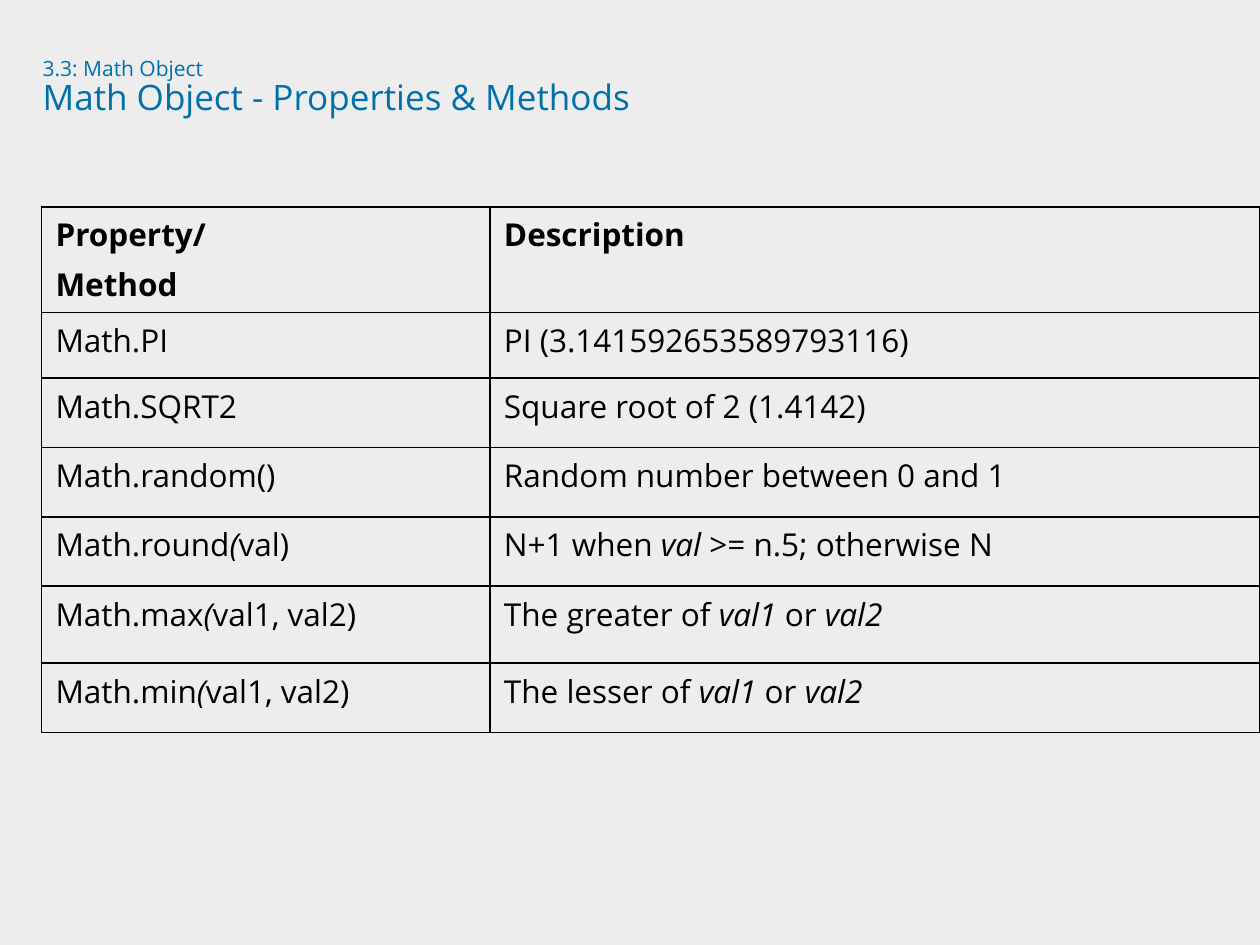
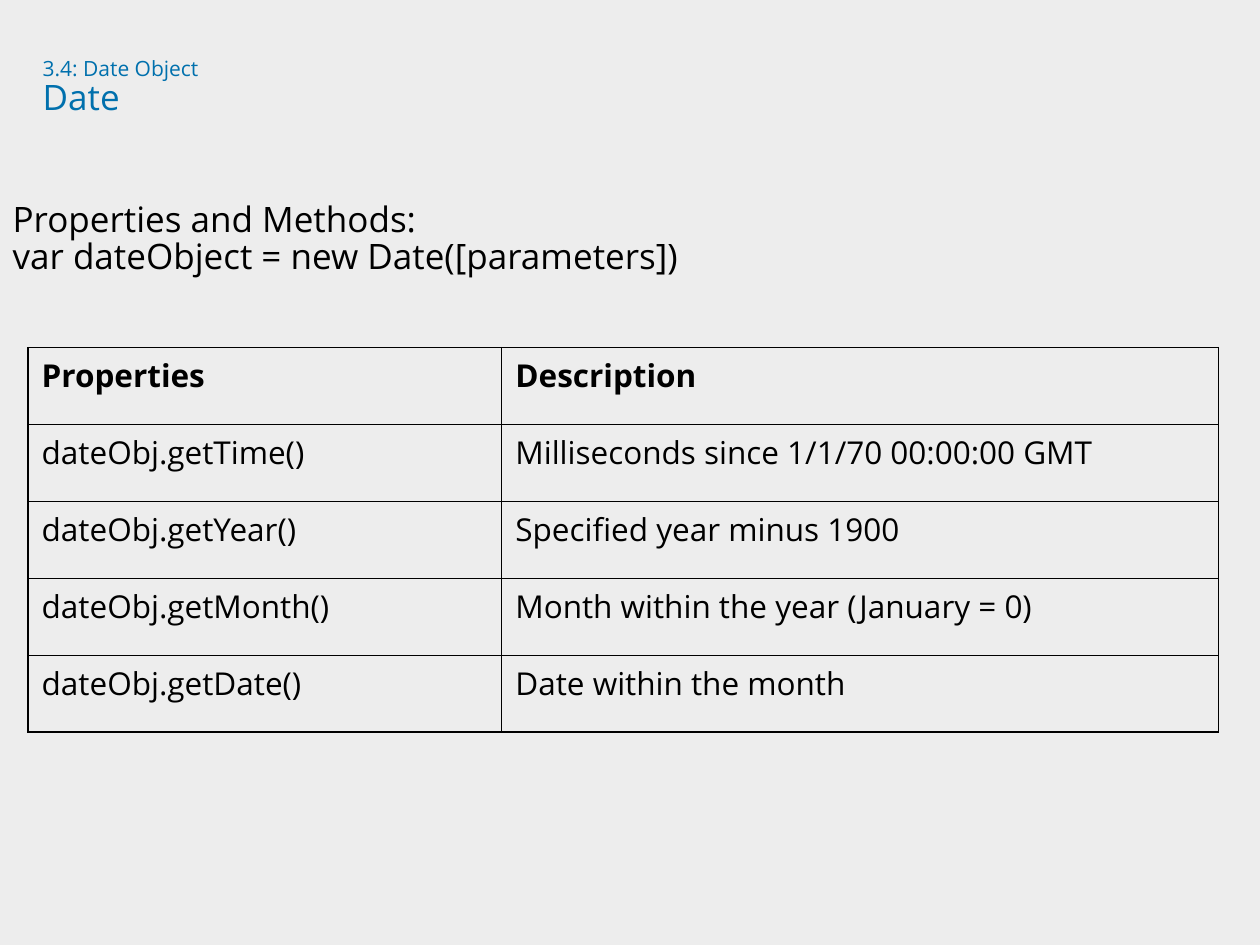
from lxml.etree import SubElement
from pptx import Presentation
from pptx.dml.color import RGBColor
from pptx.enum.text import MSO_ANCHOR, MSO_AUTO_SIZE, PP_ALIGN
from pptx.oxml.ns import qn
from pptx.util import Cm, Pt

FONT = "Open Sans"
BACKGROUND = RGBColor(0xED, 0xED, 0xED)
TITLE_BLUE = RGBColor(0x00, 0x70, 0xAD)
BLACK = RGBColor(0x00, 0x00, 0x00)
TITLE_ONLY, TITLE_AND_BODY = 5, 1
HANGING = Cm(0.96)


def add_span(para, text, size, color, bold=False, italic=False):
    """Append one formatted run to a paragraph."""
    span = para.add_run()
    span.text = text
    span.font.name = FONT
    span.font.size = Pt(size)
    span.font.color.rgb = color
    span.font.bold = bold
    span.font.italic = italic


def fill_cell(cell, text, bold):
    """Write a cell with black borders; *stars* enclose italic words."""
    cell.margin_left = cell.margin_right = Cm(0.28)
    cell.margin_top = cell.margin_bottom = Cm(0.13)
    properties = cell._tc.get_or_add_tcPr()
    for side in ("a:lnL", "a:lnR", "a:lnT", "a:lnB"):
        line = SubElement(properties, qn(side), w=str(Pt(1)))
        fill = SubElement(line, qn("a:solidFill"))
        SubElement(fill, qn("a:srgbClr"), val=str(BLACK))
    cell.fill.background()
    frame = cell.text_frame
    for number, line_text in enumerate(text.split("\n")):
        para = frame.add_paragraph() if number else frame.paragraphs[0]
        para.space_before = Pt(4)
        indents = para._p.get_or_add_pPr()
        indents.set("marL", str(HANGING))
        indents.set("indent", str(-HANGING))
        for position, part in enumerate(line_text.split("*")):
            if part:
                add_span(para, part, 18, BLACK, bold, italic=position % 2 == 1)


pages = [
    {
        "layout": TITLE_ONLY,
        "section": "3.3: Math Object",
        "title": "Math Object - Properties & Methods",
        "intro": [],
        "corner": (Cm(0.84), Cm(4.17)),
        "columns": (9.04, 15.52),
        "heights": (1.4, 1.32, 1.4, 1.4, 1.4, 1.55, 1.4),
        "rows": [
            ("Property/\nMethod", "Description"),
            ("Math.PI", "PI (3.141592653589793116)"),
            ("Math.SQRT2", "Square root of 2 (1.4142)"),
            ("Math.random()", "Random number between 0 and 1"),
            ("Math.round*(*val)", "N+1 when *val *>= n.5; otherwise N"),
            ("Math.max*(*val1, val2)", "The greater of *val1 *or *val2*"),
            ("Math.min*(*val1, val2)", "The lesser of *val1 *or *val2*"),
        ],
    },
    {
        "layout": TITLE_AND_BODY,
        "section": "3.4: Date Object",
        "title": "Date",
        "intro": ["Properties and Methods:", "var dateObject = new Date([parameters])"],
        "corner": (Cm(0.56), Cm(7.01)),
        "columns": (9.55, 14.45),
        "heights": (1.55,) * 5,
        "rows": [
            ("Properties", "Description"),
            ("dateObj.getTime()", "Milliseconds since 1/1/70 00:00:00 GMT"),
            ("dateObj.getYear()", "Specified year minus 1900"),
            ("dateObj.getMonth()", "Month within the year (January = 0)"),
            ("dateObj.getDate()", "Date within the month"),
        ],
    },
]

deck = Presentation()
deck.slide_width, deck.slide_height = Cm(25.4), Cm(19.05)
master_fill = deck.slide_master.background.fill
master_fill.solid()
master_fill.fore_color.rgb = BACKGROUND

for content in pages:
    page = deck.slides.add_slide(deck.slide_layouts[content["layout"]])

    # Title: small section line above the slide's own title
    title = page.shapes.title
    title.left, title.top, title.width, title.height = Cm(0.86), Cm(1.17), Cm(23.09), Cm(2.39)
    frame = title.text_frame
    frame.auto_size = MSO_AUTO_SIZE.NONE
    frame.vertical_anchor = MSO_ANCHOR.TOP
    frame.margin_left = frame.margin_right = frame.margin_top = frame.margin_bottom = 0
    para = frame.paragraphs[0]
    para.alignment = PP_ALIGN.LEFT
    para.line_spacing = 0.9
    add_span(para, content["section"], 12, TITLE_BLUE)
    para.add_line_break()
    add_span(para, content["title"], 20, TITLE_BLUE)

    # Table
    rows, columns = content["rows"], content["columns"]
    table = page.shapes.add_table(
        len(rows), len(columns), *content["corner"],
        Cm(sum(columns)), Cm(sum(content["heights"])),
    ).table
    table.first_row = table.horz_banding = False
    for column, width in zip(table.columns, columns):
        column.width = Cm(width)
    for row_number, texts in enumerate(rows):
        table.rows[row_number].height = Cm(content["heights"][row_number])
        for column_number, text in enumerate(texts):
            fill_cell(table.cell(row_number, column_number), text, bold=row_number == 0)

    # Introductory lines without bullets
    if content["intro"]:
        body = page.placeholders[1]
        body.left, body.top, body.width, body.height = Cm(0), Cm(3.38), Cm(22.02), Cm(3)
        frame = body.text_frame
        frame.auto_size = MSO_AUTO_SIZE.NONE
        frame.vertical_anchor = MSO_ANCHOR.TOP
        frame.margin_top = Cm(0.87)
        for number, text in enumerate(content["intro"]):
            para = frame.add_paragraph() if number else frame.paragraphs[0]
            para.line_spacing = Pt(16.5)
            para.space_before = Pt(0)
            para.space_after = Pt(4.5)
            properties = para._p.get_or_add_pPr()
            properties.set("marL", "0")
            properties.set("indent", "0")
            SubElement(properties, qn("a:buNone"))
            add_span(para, text, 20, BLACK)

deck.save("out.pptx")
